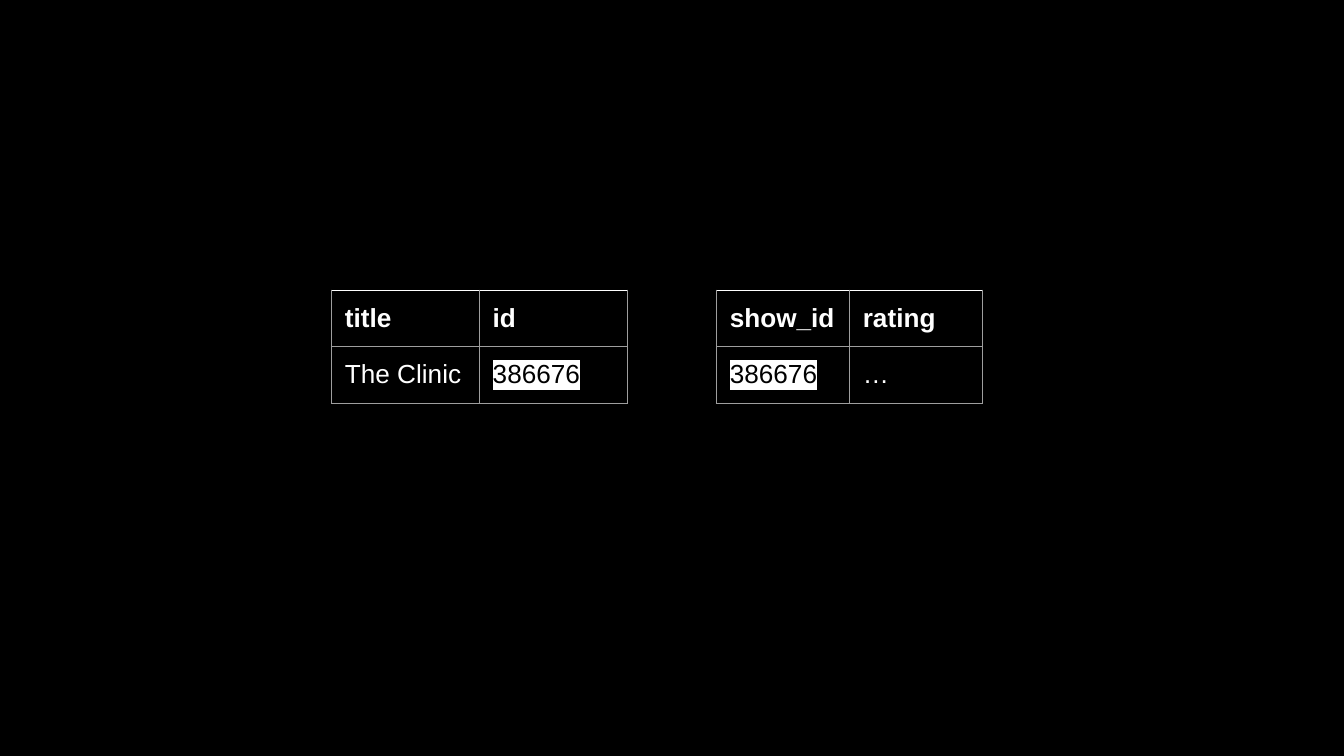
"""Build a slide with two tables joined by a highlighted key."""
from dataclasses import dataclass

from lxml.etree import SubElement
from pptx import Presentation
from pptx.dml.color import RGBColor
from pptx.oxml.ns import qn
from pptx.util import Inches, Pt

BLACK = RGBColor(0x00, 0x00, 0x00)
WHITE = RGBColor(0xFF, 0xFF, 0xFF)
GRAY = RGBColor(0x9E, 0x9E, 0x9E)
SLIDE_WIDTH = Inches(10)
SLIDE_HEIGHT = SLIDE_WIDTH * 9 // 16
TABLE_TOP = 38.4
ROW_HEIGHT = 7.47
KEY = "386676"


@dataclass(frozen=True)
class KeyedTable:
    """Hold a table's rows, with its place in percent of the slide width."""

    left: float
    column_width: float
    rows: tuple[tuple[str, ...], ...]


TABLES = (
    KeyedTable(53.3, 9.9, (("show_id", "rating"), (KEY, "…"))),
    KeyedTable(24.66, 11, (("title", "id"), ("The Clinic", KEY))),
)


def across(percent: float) -> int:
    """Return a share of the slide width."""
    return round(SLIDE_WIDTH * percent / 100)


def down(percent: float) -> int:
    """Return a share of the slide height."""
    return round(SLIDE_HEIGHT * percent / 100)


def add_color(parent, tag: str, color: RGBColor) -> None:
    """Append a colour element to an XML parent."""
    holder = SubElement(parent, qn(tag))
    SubElement(holder, qn("a:srgbClr"), val=str(color))


def set_borders(cell, top: RGBColor) -> None:
    """Draw thin gray borders with a chosen top colour."""
    properties = cell._tc.get_or_add_tcPr()
    for side in "LRTB":
        line = SubElement(properties, qn(f"a:ln{side}"), w=str(Pt(0.75)))
        add_color(line, "a:solidFill", top if side == "T" else GRAY)


def fill_cell(cell, text: str, header: bool) -> None:
    """Write and style one cell, highlighting the shared key."""
    cell.margin_left = cell.margin_right = Inches(0.1)
    cell.margin_top = cell.margin_bottom = Inches(0.1)
    set_borders(cell, WHITE if header else GRAY)
    cell.fill.background()
    paragraph = cell.text_frame.paragraphs[0]
    span = paragraph.add_run()
    span.text = text
    font = paragraph.font
    font.name = "Arial"
    font.size = Pt(14)
    font.bold = header
    font.color.rgb = BLACK if text == KEY else WHITE
    if text == KEY:
        add_color(span._r.get_or_add_rPr(), "a:highlight", WHITE)


def draw_table(page, keyed: KeyedTable) -> None:
    """Draw one table with equal columns and rows."""
    row_count, column_count = len(keyed.rows), len(keyed.rows[0])
    table = page.shapes.add_table(
        row_count, column_count, across(keyed.left), down(TABLE_TOP),
        across(keyed.column_width * column_count), down(ROW_HEIGHT * row_count),
    ).table
    table.first_row = table.horz_banding = False
    for row, texts in enumerate(keyed.rows):
        for column, text in enumerate(texts):
            fill_cell(table.cell(row, column), text, header=row == 0)


def main() -> None:
    """Build and save the deck."""
    deck = Presentation()
    deck.slide_width, deck.slide_height = SLIDE_WIDTH, SLIDE_HEIGHT
    page = deck.slides.add_slide(deck.slide_layouts[6])
    page.background.fill.solid()
    page.background.fill.fore_color.rgb = BLACK
    for keyed in TABLES:
        draw_table(page, keyed)
    deck.save("out.pptx")


if __name__ == "__main__":
    main()
